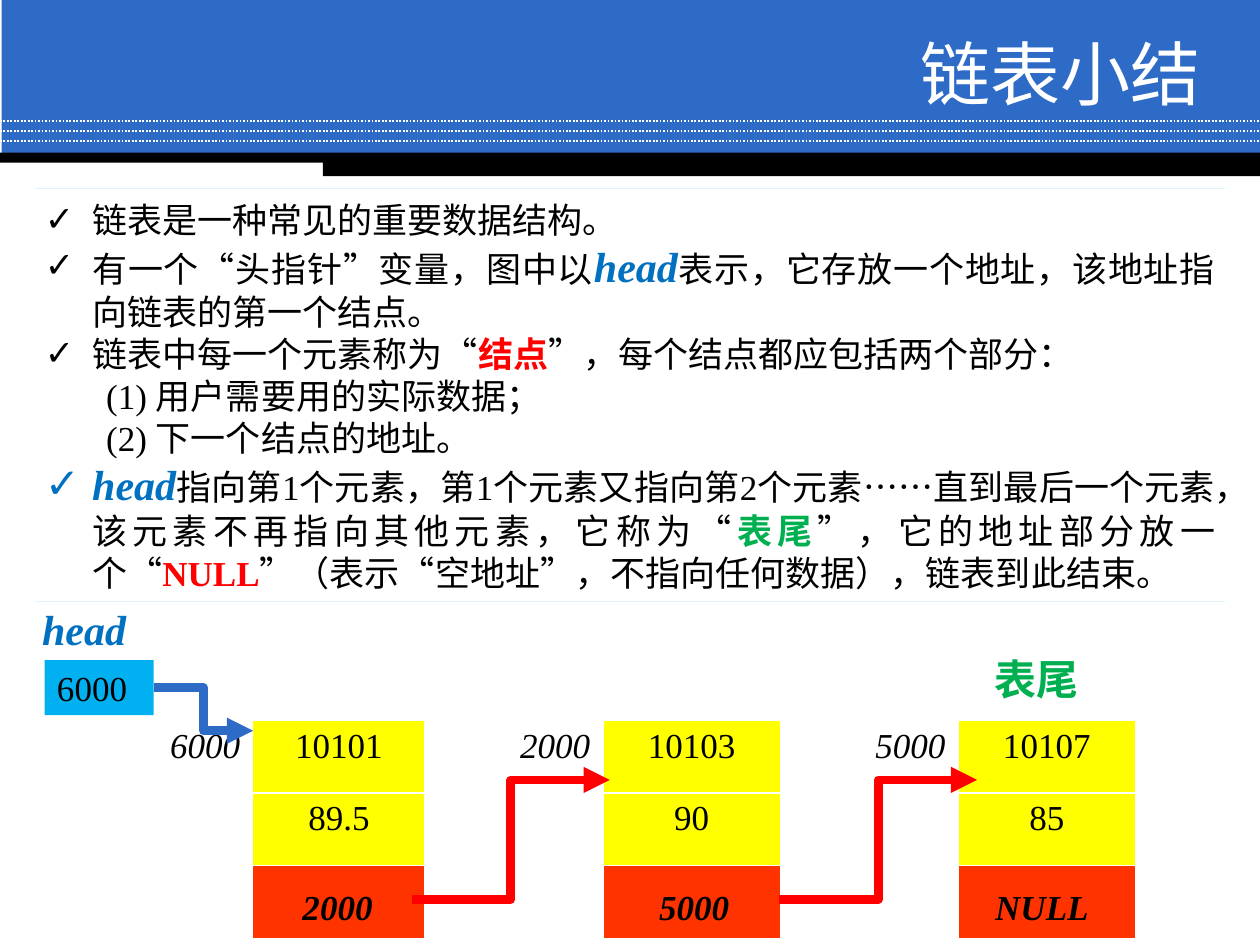
import pptx
import pptx.util
import pptx.dml.color
import pptx.enum.dml
import pptx.enum.shapes
import pptx.enum.text
import pptx.oxml
import pptx.oxml.ns

Pt = pptx.util.Pt
RGB = pptx.dml.color.RGBColor
ALIGN = pptx.enum.text.PP_ALIGN
ANCHOR = pptx.enum.text.MSO_ANCHOR
SHAPE = pptx.enum.shapes.MSO_SHAPE
CONNECTOR = pptx.enum.shapes.MSO_CONNECTOR
NS = pptx.oxml.ns.nsdecls("a")

BLUE = RGB(0x2D, 0x6B, 0xC7)
HEAD_BLUE = RGB(0x00, 0x70, 0xC0)
SKY = RGB(0x00, 0xB0, 0xF0)
GREEN = RGB(0x00, 0xB0, 0x50)
RED = RGB(0xFF, 0x00, 0x00)
ORANGE = RGB(0xFF, 0x33, 0x00)
YELLOW = RGB(0xFF, 0xFF, 0x00)
WHITE = RGB(0xFF, 0xFF, 0xFF)
BLACK = RGB(0x00, 0x00, 0x00)


def write(paragraph, text, size=20, color=BLACK, bold=False, italic=False,
          font="Times New Roman", asian="Noto Sans CJK SC", align=None):
    run = paragraph.add_run()
    run.text = text
    run.font.size = Pt(size)
    run.font.color.rgb = color
    run.font.bold = bold
    run.font.italic = italic
    run.font.name = font
    run._r.get_or_add_rPr().append(
        pptx.oxml.parse_xml(f'<a:ea {NS} typeface="{asian}"/>'))
    if align is not None:
        paragraph.alignment = align


def connect(kind, start, end, color, width):
    line = slide.shapes.add_connector(kind, *(Pt(v) for v in start + end))
    line.line.color.rgb = color
    line.line.width = Pt(width)
    line._element.spPr.append(pptx.oxml.parse_xml(f"<a:effectLst {NS}/>"))
    return line


deck = pptx.Presentation()
deck.slide_width, deck.slide_height = Pt(720), Pt(540)
slide = deck.slides.add_slide(deck.slide_layouts[6])

# Banner with dotted rules and black steps below
bands = [(0.9, 0, 719.1, 88.5, BLUE), (0, 87.2, 720, 5.8, BLACK),
         (184.5, 89.3, 535.5, 11.4, BLACK)]
for left, top, width, height, color in bands:
    band = slide.shapes.add_shape(
        SHAPE.RECTANGLE, Pt(left), Pt(top), Pt(width), Pt(height))
    band.shadow.inherit = False
    band.fill.solid()
    band.fill.fore_color.rgb = color
    band.line.fill.background()
for row in range(3):
    y = 69.2 + 5.7 * row
    rule = connect(CONNECTOR.STRAIGHT, (0, y), (720, y), WHITE, 1)
    rule.line.dash_style = pptx.enum.dml.MSO_LINE.ROUND_DOT

# Summary text between two hairlines
outline = slide.shapes.build_freeform(Pt(20), Pt(343.5))
outline.add_line_segments([(Pt(700), Pt(343.5)), (Pt(20), Pt(343.5))])
outline.move_to(Pt(20), Pt(107.7))
outline.add_line_segments([(Pt(700), Pt(107.7)), (Pt(20), Pt(107.7))])
summary = outline.convert_to_shape()
summary.shadow.inherit = False
summary.fill.solid()
summary.fill.fore_color.rgb = SKY
summary.line.fill.background()
frame = summary.text_frame
frame.word_wrap = True
frame.vertical_anchor = ANCHOR.TOP
frame.margin_left = frame.margin_right = Pt(5.67)
frame.margin_top = frame.margin_bottom = Pt(5.67)

HEAD = ("head", {"size": 24, "color": HEAD_BLUE, "bold": True, "italic": True})
points = [
    (True, [("链表是一种常见的重要数据结构。", {})]),
    (True, [("有一个“头指针”变量，图中以", {}), HEAD,
            ("表示，它存放一个地址，该地址指向链表的第一个结点。", {})]),
    (True, [("链表中每一个元素称为“", {}), ("结点", {"color": RED, "bold": True}),
            ("”，每个结点都应包括两个部分：", {})]),
    (False, [("(1) 用户需要用的实际数据；", {})]),
    (False, [("(2) 下一个结点的地址。", {})]),
    (True, [HEAD,
            ("指向第1个元素，第1个元素又指向第2个元素……直到最后一个元素，"
             "该元素不再指向其他元素，它称为“", {}),
            ("表尾", {"color": GREEN, "bold": True}),
            ("”，它的地址部分放一个“", {}),
            ("NULL", {"color": RED, "bold": True}),
            ("”（表示“空地址”，不指向任何数据），链表到此结束。", {})]),
]
for number, (ticked, pieces) in enumerate(points):
    paragraph = frame.add_paragraph() if number else frame.paragraphs[0]
    layout = paragraph._p.get_or_add_pPr()
    layout.set("marL", str(Pt(27 if ticked else 35)))
    layout.set("indent", str(Pt(-27 if ticked else 0)))
    if ticked:
        layout.append(pptx.oxml.parse_xml(f'<a:buFont {NS} typeface="Arial"/>'))
        layout.append(pptx.oxml.parse_xml(f'<a:buChar {NS} char="✓"/>'))
    for text, style in pieces:
        write(paragraph, text, align=ALIGN.JUSTIFY, **style)

# Linked nodes: address columns alternate with node columns
nodes = slide.shapes.add_table(
    3, 6, Pt(39.4), Pt(411.7), Pt(609), Pt(124.5)).table
nodes.first_row = nodes.horz_banding = False
for column, width in zip(nodes.columns, [105, 98.6] + [101.5] * 4):
    column.width = Pt(width)
contents = [["6000", "10101", "2000", "10103", "5000", "10107"],
            ["", "89.5", "", "90", "", "85"],
            [""] * 6]
for r, texts in enumerate(contents):
    nodes.rows[r].height = Pt(41.5)
    for c, text in enumerate(texts):
        cell = nodes.cell(r, c)
        is_node = c % 2 == 1
        if text:
            write(cell.text_frame.paragraphs[0], text, italic=not is_node,
                  align=ALIGN.CENTER if is_node else ALIGN.RIGHT)
        if not is_node:
            cell.fill.background()
            continue
        for side in ("lnT", "lnB"):
            cell._tc.get_or_add_tcPr().append(pptx.oxml.parse_xml(
                f'<a:{side} {NS} w="12700"><a:solidFill>'
                f'<a:srgbClr val="{WHITE}"/></a:solidFill></a:{side}>'))
        cell.fill.solid()
        cell.fill.fore_color.rgb = ORANGE if r == 2 else YELLOW

# Head pointer cell
head_cell = slide.shapes.add_shape(
    SHAPE.RECTANGLE, Pt(25.5), Pt(377.2), Pt(62.3), Pt(31.5))
head_cell.shadow.inherit = False
head_cell.fill.solid()
head_cell.fill.fore_color.rgb = SKY
head_cell.line.fill.background()
head_cell.text_frame.vertical_anchor = ANCHOR.TOP
write(head_cell.text_frame.paragraphs[0], "6000", align=ALIGN.LEFT)

# Pointer arrows
arrows = [((235.4, 514), (348.5, 445.7), RED),
          ((445.3, 514), (558.4, 445.7), RED),
          ((87.8, 392.95), (144.7, 417.6), BLUE)]
for start, end, color in arrows:
    arrow = connect(CONNECTOR.ELBOW, start, end, color, 5)
    arrow.line._get_or_add_ln().append(
        pptx.oxml.parse_xml(f'<a:tailEnd {NS} type="triangle"/>'))
arrow.begin_connect(head_cell, 3)

# Title, pointer values and captions
address = {"bold": True, "italic": True, "align": ALIGN.CENTER}
labels = [
    ("链表小结", 195, 20.5, 498.2, 41.8,
     {"size": 40, "color": WHITE, "font": "Arial", "asian": "Arial",
      "align": ALIGN.RIGHT}),
    ("2000", 156.2, 502.6, 73.4, 31.7, address),
    ("5000", 360, 502.6, 73.4, 31.7, address),
    ("NULL", 558.7, 502.6, 73.4, 31.7, address),
    ("head", 17, 341.3, 82, 36, HEAD[1]),
    ("表尾", 561.2, 370, 82, 36,
     {"size": 24, "color": GREEN, "bold": True, "font": "Noto Sans CJK SC"}),
]
for text, left, top, width, height, style in labels:
    label = slide.shapes.add_textbox(Pt(left), Pt(top), Pt(width), Pt(height))
    label.text_frame.word_wrap = True
    if text == "链表小结":
        label.text_frame.vertical_anchor = ANCHOR.MIDDLE
    write(label.text_frame.paragraphs[0], text, **style)

deck.save("out.pptx")
